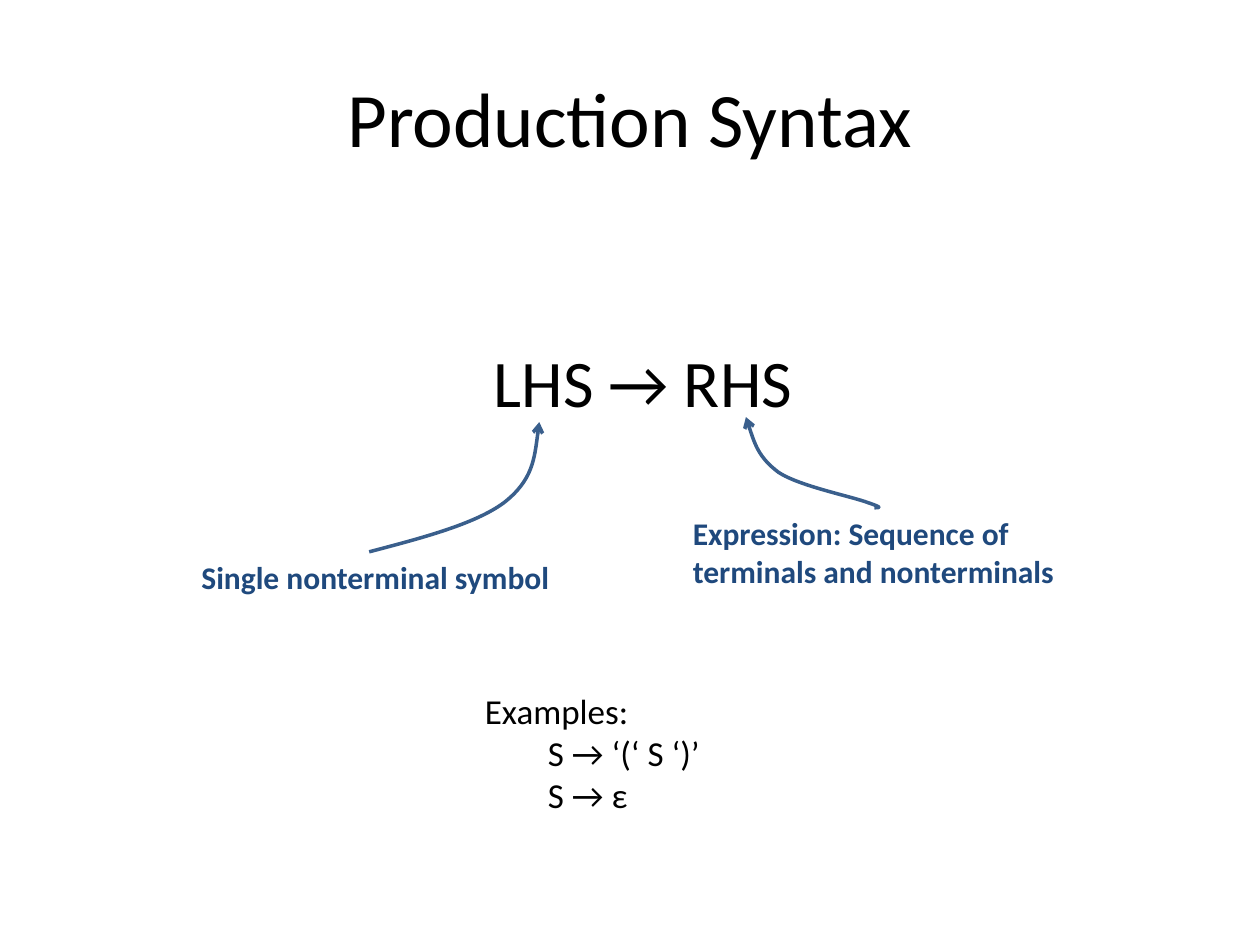
from dataclasses import dataclass

from lxml.etree import SubElement
from pptx import Presentation
from pptx.dml.color import RGBColor
from pptx.enum.text import MSO_ANCHOR, PP_ALIGN
from pptx.oxml.ns import qn
from pptx.util import Inches, Pt

COLORS = {"text": "000000", "note": "1F497D", "arrow": "3A5F8C"}
FONT = "Calibri"


@dataclass
class Label:
    left: float
    top: float
    width: float
    height: float
    lines: list[str]
    size: int
    color: str = "text"
    bold: bool = False
    wrap: bool = False
    align: PP_ALIGN = PP_ALIGN.LEFT
    anchor: MSO_ANCHOR = MSO_ANCHOR.TOP


@dataclass
class CurvedArrow:
    """A start point, then two control points and an end point per curve."""
    points: list[tuple[float, float]]


LABELS = [
    Label(0.5, 0.3, 9, 1.25, ["Production Syntax"], 44, wrap=True,
          align=PP_ALIGN.CENTER, anchor=MSO_ANCHOR.MIDDLE),
    Label(3.82, 2.66, 2.59, 0.74, ["LHS → RHS"], 38),
    Label(1.5, 4.38, 2.98, 0.4, ["Single nonterminal symbol"], 18, "note", True),
    Label(5.4, 4.03, 3.09, 0.71,
          ["Expression: Sequence of", "terminals and nonterminals"], 18, "note", True),
    Label(3.75, 5.42, 2.81, 1.11,
          ["Examples:", "\tS → ‘(‘ S ‘)’", "\tS → ε"], 20, wrap=True),
]

ARROWS = [
    # Note to left-hand side
    CurvedArrow([(2.93, 4.38), (3.35, 4.27), (3.77, 4.16), (4, 3.99),
                 (4.23, 3.81), (4.25, 3.58), (4.28, 3.35)]),
    # Note to right-hand side
    CurvedArrow([(6.94, 4.03), (6.98, 4.03), (7.01, 4.03), (6.89, 3.99),
                 (6.76, 3.94), (6.35, 3.86), (6.18, 3.75),
                 (6.02, 3.63), (5.97, 3.47), (5.92, 3.31)]),
]


def rgb(name: str) -> RGBColor:
    return RGBColor.from_string(COLORS[name])


def add_label(s, label: Label) -> None:
    box = s.shapes.add_textbox(Inches(label.left), Inches(label.top),
                               Inches(label.width), Inches(label.height))
    tf = box.text_frame
    tf.word_wrap = label.wrap
    tf.vertical_anchor = label.anchor
    for i, line in enumerate(label.lines):
        p = tf.add_paragraph() if i else tf.paragraphs[0]
        p.alignment = label.align
        r = p.add_run()
        r.text = line
        r.font.name = FONT
        r.font.size = Pt(label.size)
        r.font.bold = label.bold
        r.font.color.rgb = rgb(label.color)


def add_curved_arrow(s, arrow: CurvedArrow) -> None:
    start, *rest = [(Inches(x), Inches(y)) for x, y in arrow.points]
    builder = s.shapes.build_freeform(*start)
    builder.add_line_segments(rest, close=False)
    sp = builder.convert_to_shape()
    sp.shadow.inherit = False
    sp.fill.background()
    sp.line.color.rgb = rgb("arrow")
    sp.line.width = Pt(2)

    # Turn each three straight segments into one Bézier curve
    path = next(sp._element.iter(qn("a:path")))
    segments = path.findall(qn("a:lnTo"))
    for i in range(0, len(segments), 3):
        curve = SubElement(path, qn("a:cubicBezTo"))
        for segment in segments[i:i + 3]:
            curve.append(segment[0])
            path.remove(segment)

    # Arrowhead at the end of the curve
    SubElement(sp.line._get_or_add_ln(), qn("a:tailEnd"), type="arrow")


def main() -> None:
    prs = Presentation()
    prs.slide_width, prs.slide_height = Inches(10), Inches(7.5)
    s = prs.slides.add_slide(prs.slide_layouts[6])
    for label in LABELS:
        add_label(s, label)
    for arrow in ARROWS:
        add_curved_arrow(s, arrow)
    prs.save("out.pptx")


if __name__ == "__main__":
    main()
